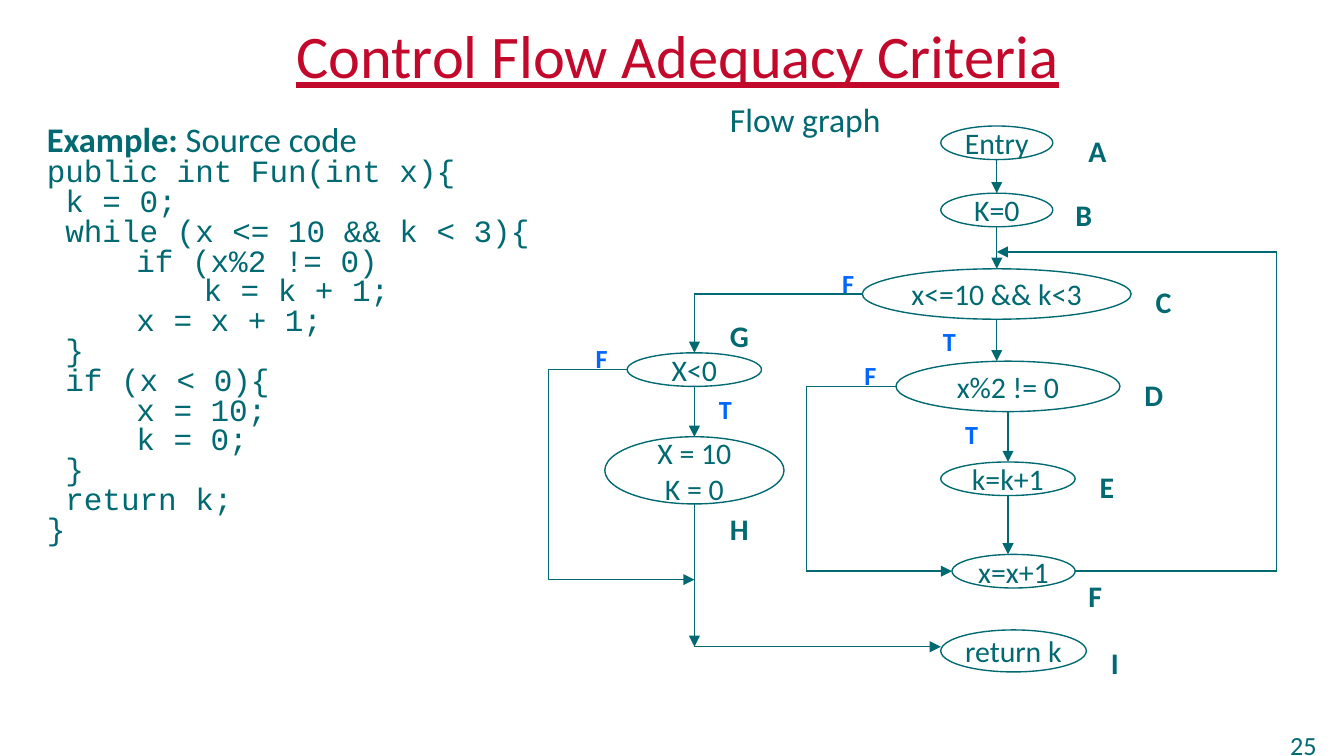
from lxml import etree
from pptx import Presentation, util as u
from pptx.dml.color import RGBColor
from pptx.enum import shapes, text
from pptx.oxml.ns import qn

COLORS = {"teal": "006971", "red": "C3092B", "blue": "0066FF"}


class Board:
    font = "Calibri"
    mono = "Courier New"
    width = 0.75

    def __init__(self, slide):
        self.slide = slide
        self.items = slide.shapes

    def color(self, name):
        return RGBColor.from_string(COLORS[name])

    def style(self, font, size, color="teal", bold=False, face=None):
        font.name, font.size, font.bold = face or self.font, u.Pt(size), bold
        font.color.rgb = self.color(color)

    def stroke(self, item, arrow):
        item.line.color.rgb = self.color("teal")
        item.line.width = u.Pt(self.width)
        if arrow:
            line = item.line._get_or_add_ln()
            etree.SubElement(line, qn("a:tailEnd"), type="triangle")

    def box(self, x, y, w, h, wrap=True):
        frame = self.items.add_textbox(*map(u.Pt, (x, y, w, h))).text_frame
        frame.word_wrap = wrap
        return frame

    def label(self, words, x, y, w, h, size=16, color="teal", bold=True, wrap=False):
        frame = self.box(x, y, w, h, wrap)
        frame.auto_size = text.MSO_AUTO_SIZE.SHAPE_TO_FIT_TEXT
        para = frame.paragraphs[0]
        para.text = words
        self.style(para.font, size, color, bold)

    def title(self, words, x, y, w, h):
        frame = self.box(x, y, w, h)
        frame.vertical_anchor = text.MSO_ANCHOR.MIDDLE
        para = frame.paragraphs[0]
        para.text = words
        para.alignment = text.PP_ALIGN.CENTER
        self.style(para.font, 32.4, "red")
        para.font.underline = True

    def code(self, head, rows, x, y, w, h):
        frame = self.box(x, y, w, h)
        for i, row in enumerate([head, *rows]):
            para = frame.add_paragraph() if i else frame.paragraphs[0]
            para.line_spacing, para.space_before = 0.6, u.Pt(4)
            props = para._p.get_or_add_pPr()
            props.set("marL", str(u.Pt(48)))
            props.set("indent", str(-u.Pt(48)))
            props.set("defTabSz", str(u.Pt(36)))
            if i:
                para.text = row
                self.style(para.font, 16.6, face=self.mono)
                continue
            for words, bold in row:
                run = para.add_run()
                run.text = words
                self.style(run.font, 18.5, bold=bold)

    def node(self, words, x, y, w, h):
        oval = self.items.add_shape(shapes.MSO_SHAPE.OVAL, *map(u.Pt, (x, y, w, h)))
        oval.shadow.inherit = False
        oval.fill.background()
        self.stroke(oval, False)
        frame = oval.text_frame
        frame.word_wrap = False
        frame.vertical_anchor = text.MSO_ANCHOR.MIDDLE
        frame.text = words
        for para in frame.paragraphs:
            para.alignment = text.PP_ALIGN.CENTER
            self.style(para.font, 16)

    def route(self, *stops):
        """Straight lines through the stops, with an arrow at the last one."""
        for start, end in zip(stops, stops[1:]):
            line = self.items.add_connector(
                shapes.MSO_CONNECTOR.STRAIGHT, *map(u.Pt, (*start, *end)))
            self.stroke(line, end == stops[-1])
            etree.SubElement(line._element.spPr, qn("a:effectLst"))

    def bend(self, first, *rest):
        path = self.items.build_freeform(*map(u.Pt, first))
        path.add_line_segments([tuple(map(u.Pt, stop)) for stop in rest], close=False)
        bend = path.convert_to_shape()
        bend.shadow.inherit = False
        bend.fill.background()
        self.stroke(bend, True)


def main():
    deck = Presentation()
    deck.slide_width, deck.slide_height = u.Pt(720), u.Pt(405)
    board = Board(deck.slides.add_slide(deck.slide_layouts[6]))

    # Title, page number and source code
    board.label("25", 684, 387, 48, 27, 14, bold=False, wrap=True)
    board.title("Control Flow Adequacy Criteria", 36, 9, 654, 40.5)
    board.code(
        [("Example:", True), (" Source code", False)],
        ["public int Fun(int x){", " k = 0;", " while (x <= 10 && k < 3){",
         "\tif (x%2 != 0)", "\t\tk = k + 1;", "\tx = x + 1;", " }",
         " if (x < 0){", "\tx = 10;", "\tk = 0;", " }", " return k;", "}"],
        18, 67.5, 306, 238.5)

    # Nodes of the flow graph
    board.label("Flow graph", 384, 49.5, 96.5, 29, 18, bold=False)
    for node in [
        ("Entry", 504, 67.5, 60, 18),
        ("K=0", 504, 103.5, 60, 18),
        ("x<=10 && k<3", 462, 144, 144, 27),
        ("x%2 != 0", 480, 193.5, 120, 27),
        ("k=k+1", 504, 247.5, 72, 18),
        ("x=x+1", 510, 297, 66, 18),
        ("return k", 504, 337.5, 78, 22.5),
        ("X<0", 336, 189, 72, 18),
        ("X = 10\nK = 0", 324, 234, 96, 36),
    ]:
        board.node(*node)

    # Downward arrows
    for x, top, end in [
        (534, 85.5, 103.5), (534, 121.5, 144), (534, 171, 193.5),
        (540, 220.5, 247.5), (540, 265.5, 297),
        (372, 207, 234), (372, 270, 346.5),
    ]:
        board.route((x, top), (x, end))

    # Branches and loop
    board.route((462, 157.5), (372, 157.5), (372, 189))
    board.route((480, 207), (432, 207), (432, 306), (510, 306))
    board.route((576, 306), (684, 306), (684, 135), (534, 135))
    board.route((372, 346.5), (504, 346.5))
    board.bend((336, 198), (294, 198), (294, 310.5), (372, 310.5))

    # Node letters
    for name, x, y, w in [
        ("A", 576, 67.5, 26), ("B", 569, 102, 24), ("C", 612, 148.5, 23),
        ("D", 606, 198, 24.5), ("E", 582, 247.5, 22.5), ("F", 576, 306, 21.5),
        ("G", 384, 166.5, 24.5), ("H", 384, 270, 24.5), ("I", 588, 342, 18.5),
    ]:
        board.label(name, x, y, w, 26.5)

    # True and false marks
    for mark, x, y in [
        ("T", 498, 171), ("T", 510, 220.5), ("T", 378, 207),
        ("F", 444, 139.5), ("F", 456, 189), ("F", 312, 180),
    ]:
        board.label(mark, x, y, 24, 24.5, 14, "blue", wrap=True)

    deck.save("out.pptx")


if __name__ == "__main__":
    main()
